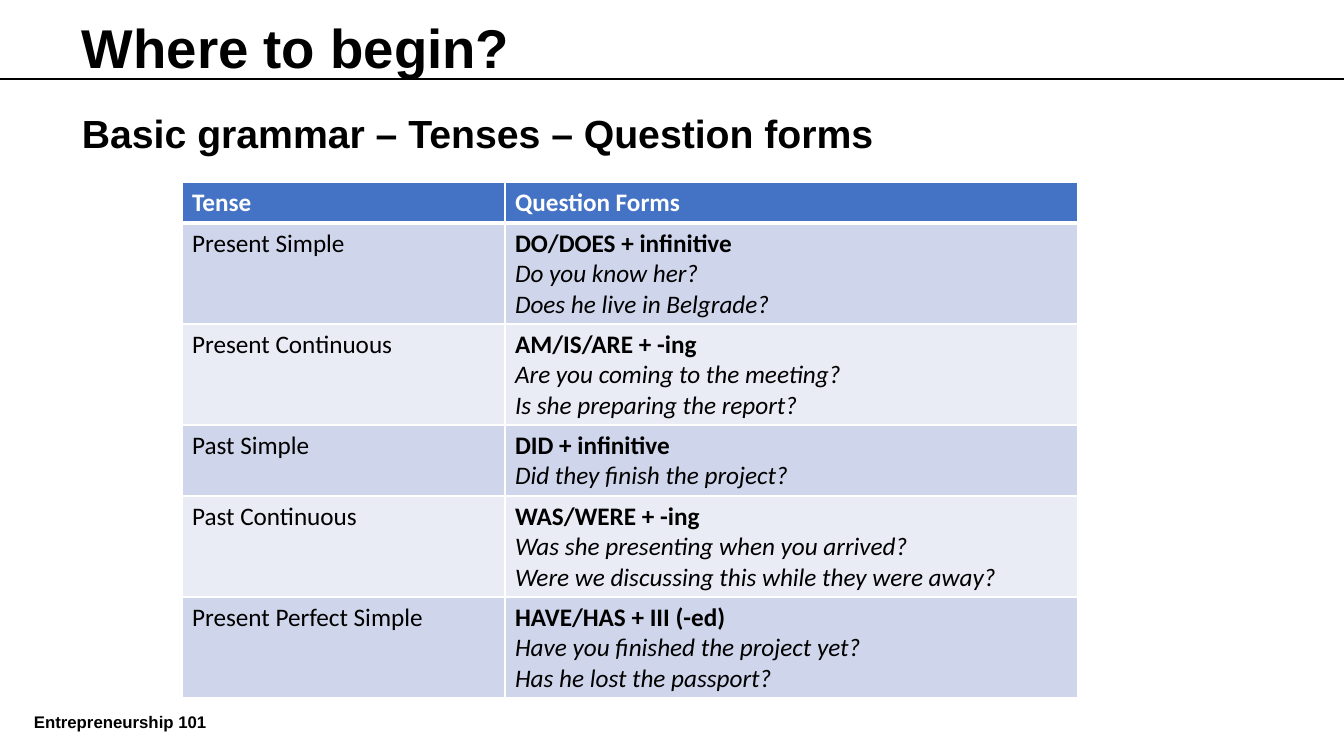
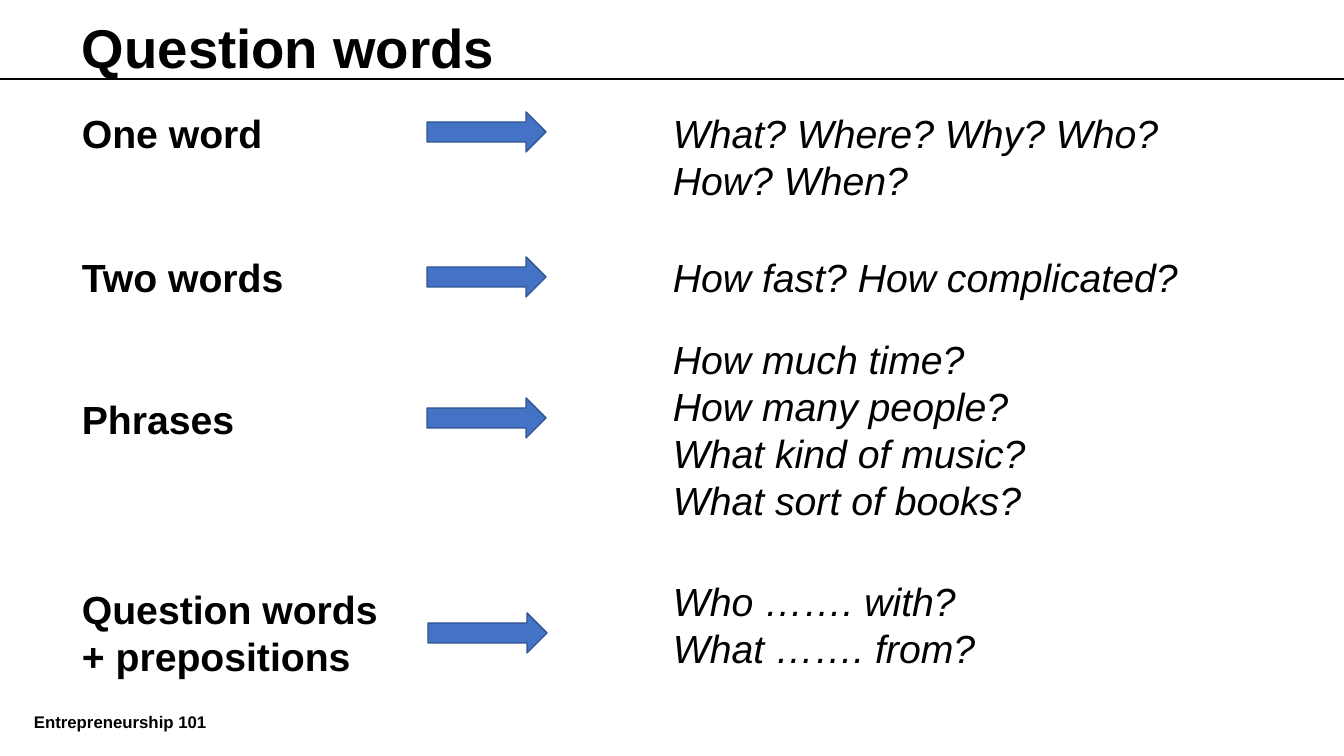
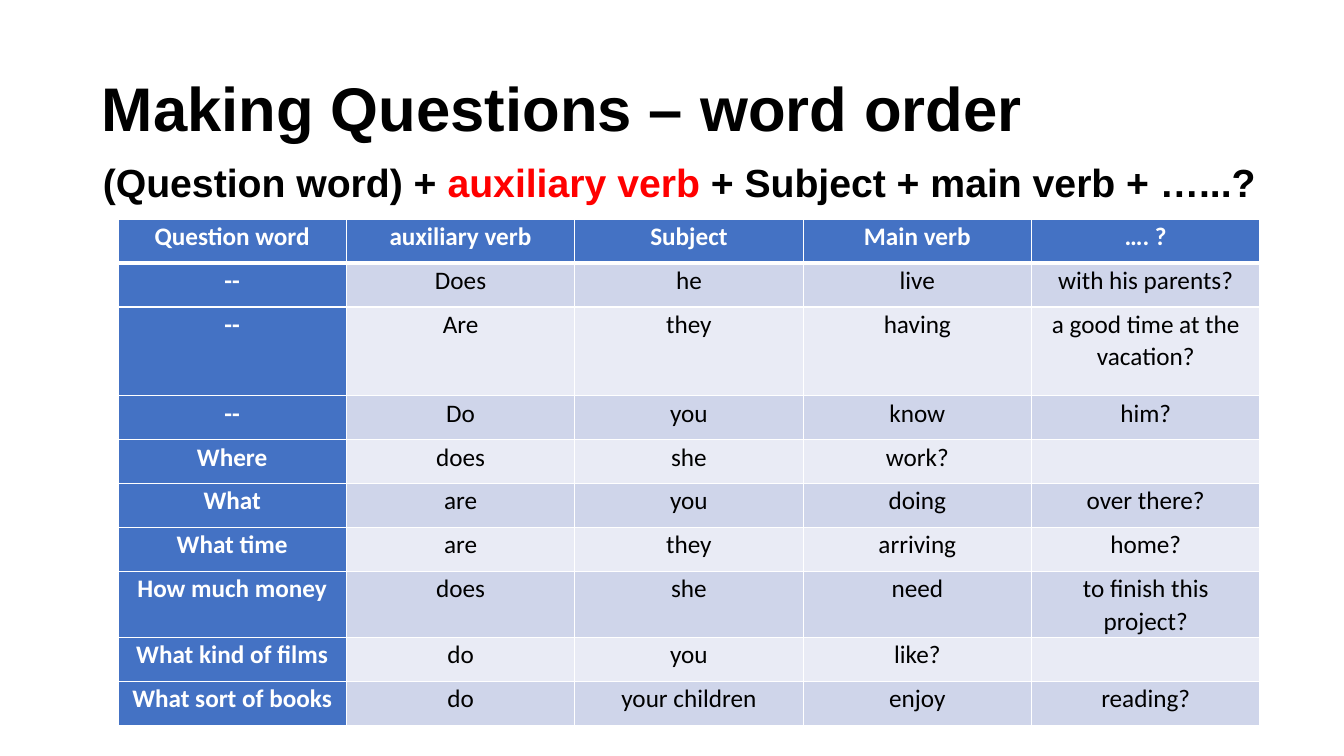
import lxml.etree
import pptx
import pptx.dml.color
import pptx.enum.shapes
import pptx.enum.text
import pptx.oxml.ns
import pptx.util

PX = 914400 / 100.8
BLACK = pptx.dml.color.RGBColor(0x00, 0x00, 0x00)
WHITE = pptx.dml.color.RGBColor(0xFF, 0xFF, 0xFF)
RED = pptx.dml.color.RGBColor(0xFF, 0x00, 0x00)
BLUE = pptx.dml.color.RGBColor(0x44, 0x72, 0xC4)
DARK_BLUE = pptx.dml.color.RGBColor(0x32, 0x54, 0x91)
BANDS = [pptx.dml.color.RGBColor(0xE9, 0xEB, 0xF5), pptx.dml.color.RGBColor(0xCF, 0xD5, 0xEA)]
MIDDLE = pptx.enum.text.MSO_ANCHOR.MIDDLE
CENTER = pptx.enum.text.PP_ALIGN.CENTER
qn = pptx.oxml.ns.qn


def add_text(page, box, text, size, bold=True, italic=False):
    """Add a wrapping Arial text box; each line of text is a paragraph."""
    shape = page.shapes.add_textbox(*[round(n * PX) for n in box])
    frame = shape.text_frame
    frame.word_wrap = True
    frame.text = text
    for para in frame.paragraphs:
        para.font.name = "Arial"
        para.font.size = pptx.util.Pt(size)
        para.font.bold = bold
        para.font.italic = italic
        para.font.color.rgb = BLACK
    return frame


def add_grid(page, left, top, widths, heights, rows, first_col=False):
    """Add a banded table with white rules and a blue header."""
    box = [left, top, sum(widths), sum(heights)]
    table = page.shapes.add_table(len(rows), len(widths), *[round(n * PX) for n in box]).table
    table.first_col = first_col
    for column, width in zip(table.columns, widths):
        column.width = round(width * PX)
    for r, (row, height) in enumerate(zip(rows, heights)):
        table.rows[r].height = round(height * PX)
        for c, text in enumerate(row):
            heading = r == 0 or (first_col and c == 0)
            cell = table.cell(r, c)
            cell.text = text
            for para in cell.text_frame.paragraphs:
                para.font.name = "Calibri"
                para.font.size = pptx.util.Pt(18)
                para.font.bold = heading
                para.font.color.rgb = WHITE if heading else BLACK
            props = cell._tc.get_or_add_tcPr()
            for side in ("L", "R", "T", "B"):
                thick = (r == 0 and side == "B") or (r == 1 and side == "T")
                rule = lxml.etree.SubElement(props, qn("a:ln" + side), w="38100" if thick else "12700")
                paint = lxml.etree.SubElement(rule, qn("a:solidFill"))
                lxml.etree.SubElement(paint, qn("a:srgbClr"), val=str(WHITE))
            cell.fill.solid()
            cell.fill.fore_color.rgb = BLUE if heading else BANDS[r % 2]
    return table


deck = pptx.Presentation()
deck.slide_width = round(1344 * PX)
deck.slide_height = round(756 * PX)
tenses_page, words_page, order_page = [deck.slides.add_slide(deck.slide_layouts[6]) for _ in range(3)]

# Shared title, rule and footer
for page, title in [(tenses_page, "Where to begin?"), (words_page, "Question words")]:
    footer = add_text(page, (24, 702, 606, 40), "Entrepreneurship 101", 12)
    footer.vertical_anchor = MIDDLE
    add_text(page, (72, 9, 1184, 80), title, 39)
    rule = page.shapes.add_connector(
        pptx.enum.shapes.MSO_CONNECTOR.STRAIGHT, 0, round(79 * PX), deck.slide_width, round(79 * PX))
    rule.line.color.rgb = BLACK
    rule.line.width = pptx.util.Pt(2)
    lxml.etree.SubElement(rule._element.spPr, qn("a:effectLst"))

# Tenses
add_text(tenses_page, (72, 104, 1172, 57), "Basic grammar – Tenses – Question forms", 28)
tenses = [
    ("Tense", "Question Forms"),
    ("Present Simple", "DO/DOES + infinitive\nDo you know her?\nDoes he live in Belgrade?"),
    ("Present Continuous", "AM/IS/ARE + -ing\nAre you coming to the meeting?\nIs she preparing the report?"),
    ("Past Simple", "DID + infinitive\nDid they finish the project?"),
    ("Past Continuous", "WAS/WERE + -ing\nWas she presenting when you arrived?\n"
                        "Were we discussing this while they were away?"),
    ("Present Perfect Simple", "HAVE/HAS + III (-ed)\nHave you finished the project yet?\nHas he lost the passport?"),
]
heights = [41 + 30 * forms.count("\n") for _, forms in tenses]
table = add_grid(tenses_page, 182, 182, [323, 573], heights, tenses)
for r in range(1, len(tenses)):
    pattern, *examples = table.cell(r, 1).text_frame.paragraphs
    pattern.font.bold = True
    for para in examples:
        para.font.italic = True

# Question words: label, label top, arrow left and top, examples, examples top
word_rows = [
    ("One word", 104, 427, 112, "What? Where? Why? Who? How? When?", 104, 105),
    ("Two words", 248, 427, 257, "How fast? How complicated?", 248, 57),
    ("Phrases", 390, 427, 398,
     "How much time?\nHow many people?\nWhat kind of music?\nWhat sort of books?", 330, 201),
    ("Question words + prepositions", 580, 428, 613, "Who ……. with?\nWhat ……. from?", 572, 105),
]
for label, label_top, arrow_left, arrow_top, examples, top, height in word_rows:
    add_text(words_page, (72, label_top, 333, 57), label, 28)
    add_text(words_page, (663, top, 581, height), examples, 28, bold=False, italic=True)
    arrow = words_page.shapes.add_shape(
        pptx.enum.shapes.MSO_SHAPE.RIGHT_ARROW,
        *[round(n * PX) for n in (arrow_left, arrow_top, 119, 40)])
    arrow.shadow.inherit = False
    arrow.fill.solid()
    arrow.fill.fore_color.rgb = BLUE
    arrow.line.color.rgb = DARK_BLUE
    arrow.line.width = pptx.util.Pt(1)

# Word order
add_text(order_page, (92, 65, 1160, 84), "Making Questions – word order", 44)
formula = add_text(order_page, (93, 153, 1243, 57), "(Question word) + ", 28).paragraphs[0]
for text, color in [("auxiliary verb ", RED), ("+ Subject + main verb + …...?", BLACK)]:
    span = formula.add_run()
    span.text = text
    span.font.color.rgb = color
questions = [
    ("Question word", "auxiliary verb", "Subject", "Main verb", "…. ?"),
    ("--", "Does", "he", "live", "with his parents?"),
    ("--", "Are", "they", "having", "a good time at the vacation?"),
    ("--", "Do", "you", "know", "him?"),
    ("Where", "does", "she", "work?", ""),
    ("What", "are", "you", "doing", "over there?"),
    ("What time", "are", "they", "arriving", "home?"),
    ("How much money", "does", "she", "need", "to finish this project?"),
    ("What kind of films", "do", "you", "like?", ""),
    ("What sort of books", "do", "your children", "enjoy", "reading?"),
]
heights = [44, 44, 89, 44, 44, 44, 44, 66, 44, 44]
table = add_grid(order_page, 118, 219, [1142 / 5] * 5, heights, questions, first_col=True)
for cell in table.iter_cells():
    cell.margin_left = cell.margin_right = round(7 * PX)
    cell.margin_top = cell.margin_bottom = 0
    para = cell.text_frame.paragraphs[0]
    para.alignment = CENTER
    para.line_spacing = 1.07

deck.save("out.pptx")
